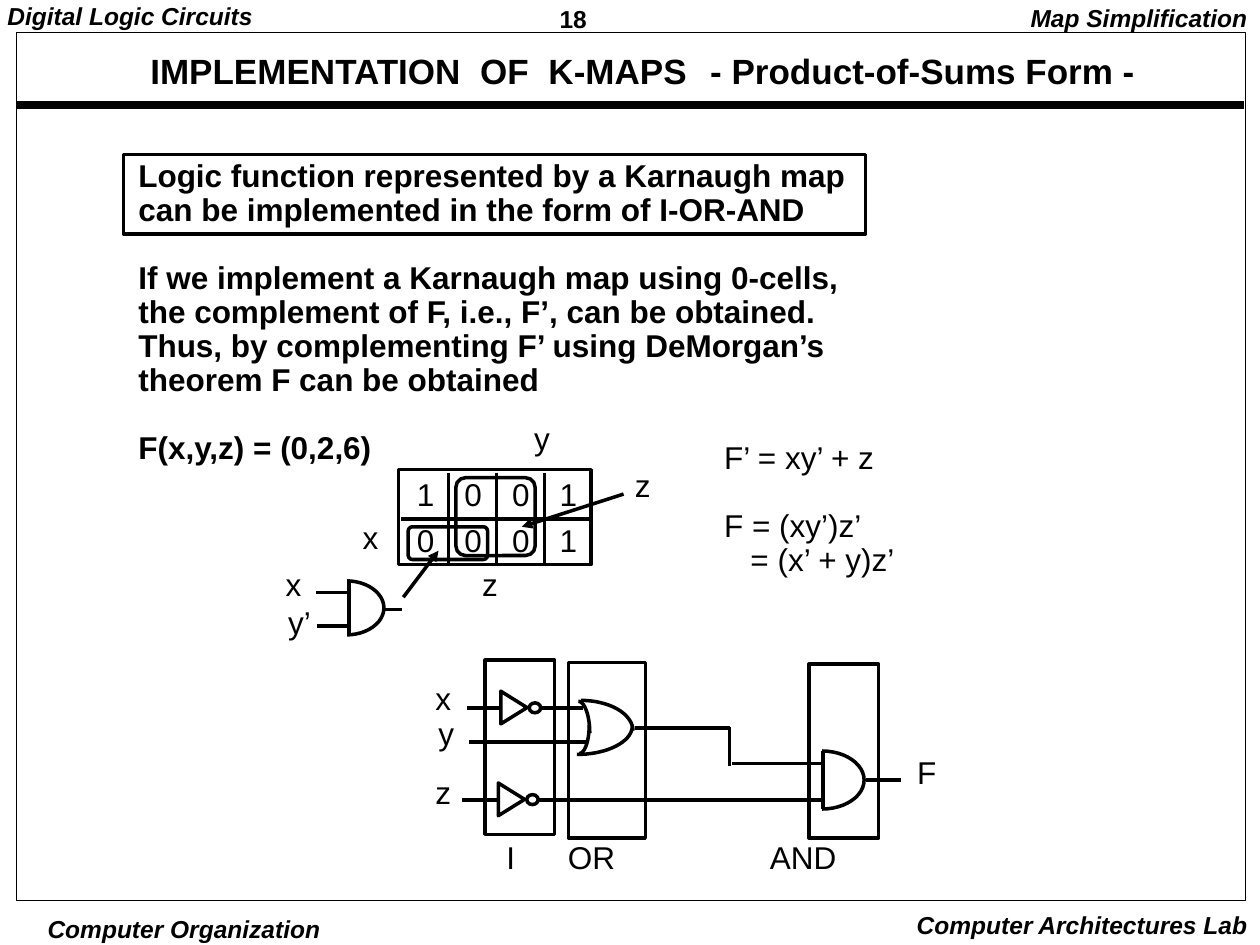
import math

import lxml.etree
import pptx
import pptx.dml.color
import pptx.enum.shapes
import pptx.enum.text
import pptx.oxml.ns
import pptx.util

Cm, Pt = pptx.util.Cm, pptx.util.Pt
SHAPE = pptx.enum.shapes.MSO_SHAPE
ALIGN = pptx.enum.text.PP_ALIGN
qn = pptx.oxml.ns.qn


def color(code):
    return pptx.dml.color.RGBColor.from_string(code)


def apply(target, values):
    """Set every attribute named in the dict of format values."""
    for name, value in values.items():
        setattr(target, name, value)


class Sketch:
    """Holds the ink, the font and the slide being drawn."""
    ink, paper, font = "000000", "FFFFFF", "Arial"

    def __init__(self, slide):
        self.slide = slide

    def stroke(self, item, width, code=ink):
        item.line.color.rgb = color(code)
        item.line.width = Pt(width)

    def outline(self, kind, place, width=2, fill=None, line=ink, corner=None, turn=0):
        shape = self.slide.shapes.add_shape(kind, *map(Cm, place))
        apply(shape, {"rotation": turn})
        shape.shadow.inherit = False
        if fill:
            shape.fill.solid()
            shape.fill.fore_color.rgb = color(fill)
        else:
            shape.fill.background()
        if corner:
            shape.adjustments[0] = corner
        self.stroke(shape, width, line)

    def wire(self, x1, y1, x2, y2, width=2, arrow=False):
        line = self.slide.shapes.add_connector(
            pptx.enum.shapes.MSO_CONNECTOR.STRAIGHT, *map(Cm, (x1, y1, x2, y2)))
        self.stroke(line, width)
        if arrow:
            lxml.etree.SubElement(line.line._get_or_add_ln(), qn("a:tailEnd"), type="triangle")
        lxml.etree.SubElement(line._element.spPr, qn("a:effectLst"))

    def quarter(self, x, y, rx, ry, start):
        """Draw a quarter of an ellipse clockwise from the start angle."""
        angles = [math.radians(start + step * 5) for step in range(19)]
        points = [(Cm(x + rx * math.cos(a)), Cm(y + ry * math.sin(a))) for a in angles]
        builder = self.slide.shapes.build_freeform(*points[0])
        builder.add_line_segments(points[1:], close=False)
        curve = builder.convert_to_shape()
        curve.shadow.inherit = False
        curve.fill.background()
        self.stroke(curve, 2)

    def text(self, place, lines, size=18, bold=False, italic=False, align=ALIGN.LEFT,
             spacing=0.9, inset=(0.25, 0.13), wrap=False):
        """Write lines; each is a string or a dict with spans, before and indent."""
        box = self.slide.shapes.add_textbox(*map(Cm, place))
        across, down = map(Cm, inset)
        apply(box.text_frame, {
            "margin_left": across, "margin_right": across, "margin_top": down,
            "margin_bottom": down, "word_wrap": wrap,
            "auto_size": pptx.enum.text.MSO_AUTO_SIZE.SHAPE_TO_FIT_TEXT})
        for index, line in enumerate(lines):
            if isinstance(line, str):
                line = {"spans": [(line, 0)]}
            para = box.text_frame.paragraphs[0] if index == 0 else box.text_frame.add_paragraph()
            apply(para, {"alignment": align, "line_spacing": spacing,
                         "space_before": Pt(line.get("before", 0))})
            if "indent" in line:
                para._p.get_or_add_pPr().set("marL", str(Cm(line["indent"])))
            for words, tracking in line["spans"]:
                span = para.add_run()
                span.text = words
                apply(span.font, {"name": self.font, "size": Pt(size),
                                  "bold": bold, "italic": italic})
                span.font.color.rgb = color(self.ink)
                if tracking:
                    span.font._element.set("spc", str(round(tracking * 100)))

    def label(self, words, x, y, width=0.81, align=ALIGN.LEFT):
        self.text((x, y, width, 0.94), [words], align=align)

    def and_gate(self, ellipse, mask, flat_x):
        """Draw an ellipse, hide its left half and close it with a flat side."""
        self.outline(SHAPE.OVAL, ellipse)
        self.outline(SHAPE.RECTANGLE, mask, fill=self.paper, line=self.paper)
        self.wire(flat_x, ellipse[1], flat_x, ellipse[1] + ellipse[3])

    def inverter(self, x, y):
        self.outline(SHAPE.ISOSCELES_TRIANGLE, (x, y, 0.66, 0.53), turn=90)
        self.outline(SHAPE.OVAL, (x + 0.64, y + 0.17, 0.23, 0.2))


def draw_frame(sketch):
    tight = (0.18, 0.08)
    running = {"size": 14, "bold": True, "italic": True}
    sketch.text((11.1, 0, 2.74, 0.74), ["18"], size=14, bold=True, spacing=1.01, inset=tight)
    sketch.text((-0.03, 0, 6, 0.74), ["Digital Logic Circuits"], inset=tight, **running)
    sketch.text((20.1, 0, 5.3, 0.79), ["Map Simplification"], align=ALIGN.RIGHT, **running)
    sketch.text((0.51, 18.39, 6.4, 0.66), ["Computer Organization"], align=ALIGN.CENTER,
                spacing=1.0, inset=(0.08, 0.03), **running)
    sketch.text((17.8, 18.21, 7.6, 0.84), ["Computer Architectures Lab"],
                align=ALIGN.RIGHT, spacing=1.0, **running)
    sketch.wire(0.33, 2.11, 25.07, 2.11, width=4.5)
    sketch.outline(SHAPE.RECTANGLE, (0.33, 0.66, 24.77, 17.5), width=0.5)
    title = [("IMPLEMENTATION", 0), (" ", 5.6), ("OF", 0), (" ", 5.6), ("K-MAPS", 0),
             (" ", 7.8), ("- Product-of-Sums Form -", 0)]
    sketch.text((1.12, 1.02, 23.67, 0.91), [{"spans": title}], size=20, bold=True,
                align=ALIGN.CENTER, inset=tight, wrap=True)


def draw_statement(sketch):
    gap = 19.4
    sketch.text((2.54, 3.1, 15.2, 6.43), [
        "Logic function represented by a Karnaugh map",
        "can be implemented in the form of I-OR-AND",
        {"spans": [("If we implement a Karnaugh map using 0-cells,", 0)], "before": gap},
        "the complement of F, i.e., F’, can be obtained.",
        "Thus, by complementing F’ using DeMorgan’s",
        "theorem F can be obtained",
        {"spans": [("F(x,y,z) = (0,2,6)", 0)], "before": gap}], bold=True)
    sketch.outline(SHAPE.RECTANGLE, (2.49, 3.12, 14.96, 1.6))
    sketch.text((14.35, 8.79, 4.2, 3.68), [
        "F’ = xy’ + z",
        {"spans": [("F = (xy’)z’", 0)], "before": gap},
        {"spans": [("= (x’ + y)z’", 0)], "indent": 0.53}])


def draw_map(sketch):
    sketch.outline(SHAPE.RECTANGLE, (8.03, 9.47, 3.89, 1.91))
    sketch.wire(8.08, 10.46, 11.91, 10.46)
    for column in range(1, 4):
        x = 8.07 + 0.97 * column
        sketch.wire(x, 9.53, x, 11.38)
    for loop in [(9.19, 9.63, 1.6, 1.57), (8.23, 10.62, 1.6, 0.66)]:
        sketch.outline(SHAPE.ROUNDED_RECTANGLE, loop, corner=0.125)
    for row, values in enumerate(["1001", "0001"]):
        for column, value in enumerate(values):
            sketch.label(value, 8.15 + 0.96 * column, 9.54 + 0.92 * row, 0.86, ALIGN.CENTER)
    sketch.and_gate((6.22, 11.71, 1.52, 1.09), (6.07, 11.53, 0.89, 1.52), 7.04)
    for wire in [(7.06, 11.94, 6.38, 11.94), (7.06, 12.62, 6.4, 12.62),
                 (7.77, 12.29, 8.1, 12.29)]:
        sketch.wire(*wire)
    for arrow in [(12.57, 9.96, 10.52, 10.62), (8.13, 12.04, 8.84, 11.1)]:
        sketch.wire(*arrow, arrow=True)
    for label in [("x", 7.06, 10.39), ("y", 10.52, 8.41), ("z", 9.47, 11.35),
                  ("z", 12.55, 9.35), ("x", 5.51, 11.35), ("y’", 5.56, 12.12, 0.97)]:
        sketch.label(*label)


def draw_circuit(sketch):
    for curve in [(11.71, 14.73, 1.05, 0.61, 270), (11.63, 14.63, 1.12, 0.58, 0),
                  (11.66, 14.78, 0.23, 0.64, 270), (11.68, 14.61, 0.2, 0.58, 0)]:
        sketch.quarter(*curve)
    sketch.and_gate((15.72, 15.14, 1.7, 1.17), (15.42, 14.86, 1.12, 1.68), 16.59)
    for wire in [(11.76, 14.27, 10.87, 14.27), (11.84, 14.96, 9.45, 14.96),
                 (12.8, 14.68, 14.71, 14.68), (14.71, 14.66, 14.71, 15.44),
                 (14.76, 15.39, 16.56, 15.39), (16.64, 16.13, 10.82, 16.13),
                 (10.11, 14.27, 9.42, 14.27), (10.06, 16.13, 9.32, 16.13),
                 (17.45, 15.72, 18.16, 15.72)]:
        sketch.wire(*wire)
    for stage in [(9.78, 13.31, 1.4, 3.51), (11.46, 13.36, 1.55, 3.53),
                  (16.31, 13.39, 1.4, 3.51)]:
        sketch.outline(SHAPE.RECTANGLE, stage)
    sketch.inverter(10.03, 14)
    sketch.inverter(9.98, 15.85)
    for label in [("x", 8.53, 13.64), ("y", 8.59, 14.35), ("z", 8.53, 15.54),
                  ("F", 18.24, 15.14, 0.89), ("I", 9.96, 16.84, 0.68),
                  ("OR", 11.2, 16.84, 1.46), ("AND", 15.27, 16.84, 1.88)]:
        sketch.label(*label)


def main():
    deck = pptx.Presentation()
    apply(deck, {"slide_width": Cm(25.4), "slide_height": Cm(19.05)})
    sketch = Sketch(deck.slides.add_slide(deck.slide_layouts[6]))
    for draw in (draw_frame, draw_statement, draw_map, draw_circuit):
        draw(sketch)
    deck.save("out.pptx")


if __name__ == "__main__":
    main()
